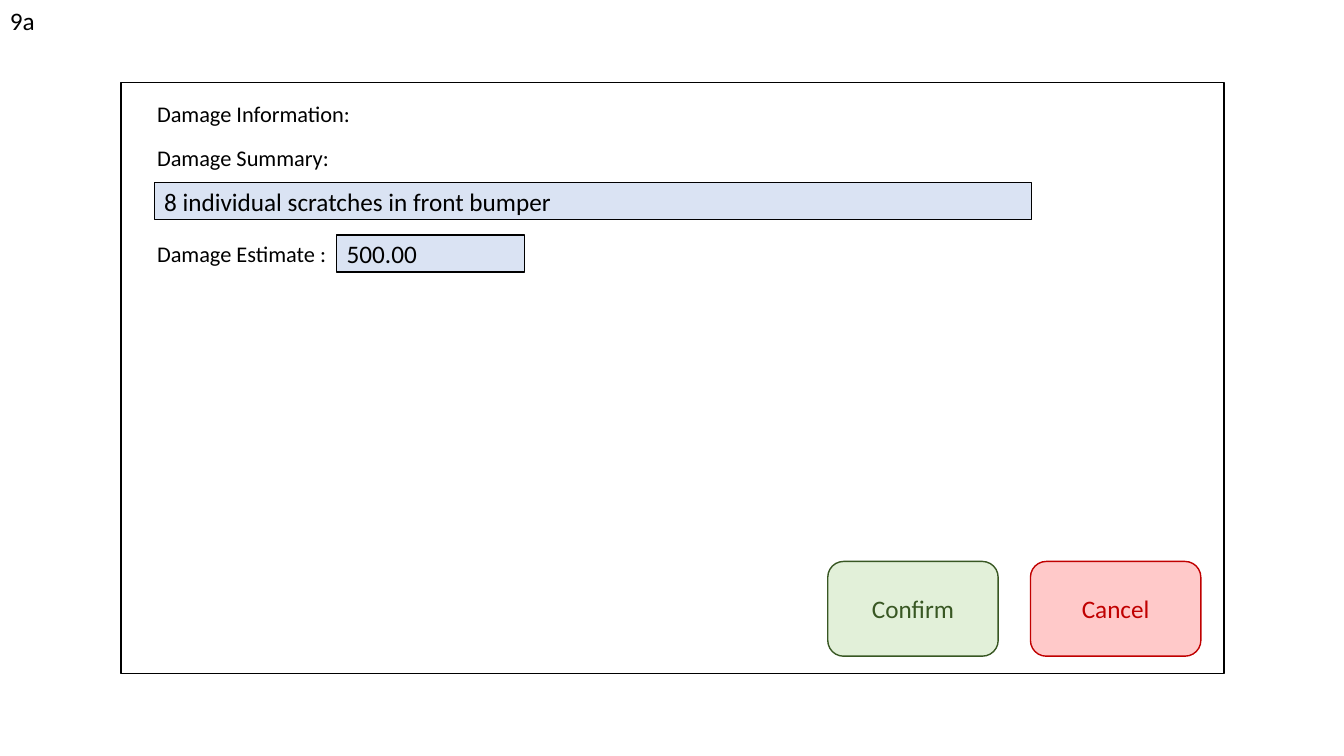
"""Build the damage information form slide with its fields and buttons."""
from pptx import Presentation
from pptx import util as u
from pptx.dml.color import RGBColor
from pptx.enum import shapes, text

BLACK = RGBColor(0x00, 0x00, 0x00)
FIELD_BLUE = RGBColor(0xDA, 0xE3, 0xF3)
LIGHT_GREEN = RGBColor(0xE2, 0xF0, 0xD9)
DARK_GREEN = RGBColor(0x38, 0x57, 0x23)
LIGHT_RED = RGBColor(0xFF, 0xC9, 0xC9)
DARK_RED = RGBColor(0xC0, 0x00, 0x00)

ROW_HEIGHT = 0.37
LABEL_LEFT = 1.46
BUTTON_LEFT, BUTTON_TOP = 8.21, 5.57
BUTTON_WIDTH, BUTTON_HEIGHT, BUTTON_GAP = 1.69, 0.94, 0.32

PANEL = (1.2, 0.82, 10.94, 5.86)
LABELS = [
    ("Damage Information:", (LABEL_LEFT, 0.94, 2.14, ROW_HEIGHT), 16),
    ("Damage Summary:", (LABEL_LEFT, 1.38, 1.93, ROW_HEIGHT), 16),
    ("Damage Estimate :", (LABEL_LEFT, 2.33, 1.9, ROW_HEIGHT), 16),
    ("9a", (0, 0, 0.45, 0.4), 18),
]
FIELDS = [
    ("8 individual scratches in front bumper ", (1.53, 1.81, 8.7, ROW_HEIGHT)),
    ("500.00", (3.34, 2.33, 1.86, ROW_HEIGHT)),
]
BUTTONS = [("Confirm", LIGHT_GREEN, DARK_GREEN), ("Cancel", LIGHT_RED, DARK_RED)]


def inches(box):
    return [u.Inches(length) for length in box]


def write(shape, words, size, color, align, frame_format):
    frame = shape.text_frame
    for name, value in frame_format.items():
        setattr(frame, name, value)
    paragraph = frame.paragraphs[0]
    paragraph.alignment = align
    run = paragraph.add_run()
    run.text = words
    font_format = {"name": "Calibri", "size": u.Pt(size)}
    for name, value in font_format.items():
        setattr(run.font, name, value)
    run.font.color.rgb = color


def add_label(slide, words, box, size):
    label = slide.shapes.add_textbox(*inches(box))
    frame_format = {"word_wrap": False, "auto_size": text.MSO_AUTO_SIZE.SHAPE_TO_FIT_TEXT}
    write(label, words, size, BLACK, text.PP_ALIGN.LEFT, frame_format)


def add_box(slide, kind, box, line, fill=None, words="", align=text.PP_ALIGN.LEFT):
    shape = slide.shapes.add_shape(kind, *inches(box))
    shape.shadow.inherit = False
    shape.line.color.rgb = line
    shape.line.width = u.Pt(1)
    if fill is None:
        shape.fill.background()
    else:
        shape.fill.solid()
        shape.fill.fore_color.rgb = fill
    if words:
        frame_format = {"word_wrap": True, "vertical_anchor": text.MSO_ANCHOR.MIDDLE}
        write(shape, words, 18, line, align, frame_format)


presentation = Presentation()
presentation.slide_width = u.Inches(13.33)
presentation.slide_height = u.Inches(7.5)
slide = presentation.slides.add_slide(presentation.slide_layouts[6])

RECTANGLE = shapes.MSO_SHAPE.RECTANGLE
add_box(slide, RECTANGLE, PANEL, BLACK)
for words, box, size in LABELS:
    add_label(slide, words, box, size)
for words, box in FIELDS:
    add_box(slide, RECTANGLE, box, BLACK, FIELD_BLUE, words)
for index, (words, fill, ink) in enumerate(BUTTONS):
    left = BUTTON_LEFT + index * (BUTTON_WIDTH + BUTTON_GAP)
    box = (left, BUTTON_TOP, BUTTON_WIDTH, BUTTON_HEIGHT)
    add_box(slide, shapes.MSO_SHAPE.ROUNDED_RECTANGLE, box, ink, fill, words, text.PP_ALIGN.CENTER)

presentation.save("out.pptx")
